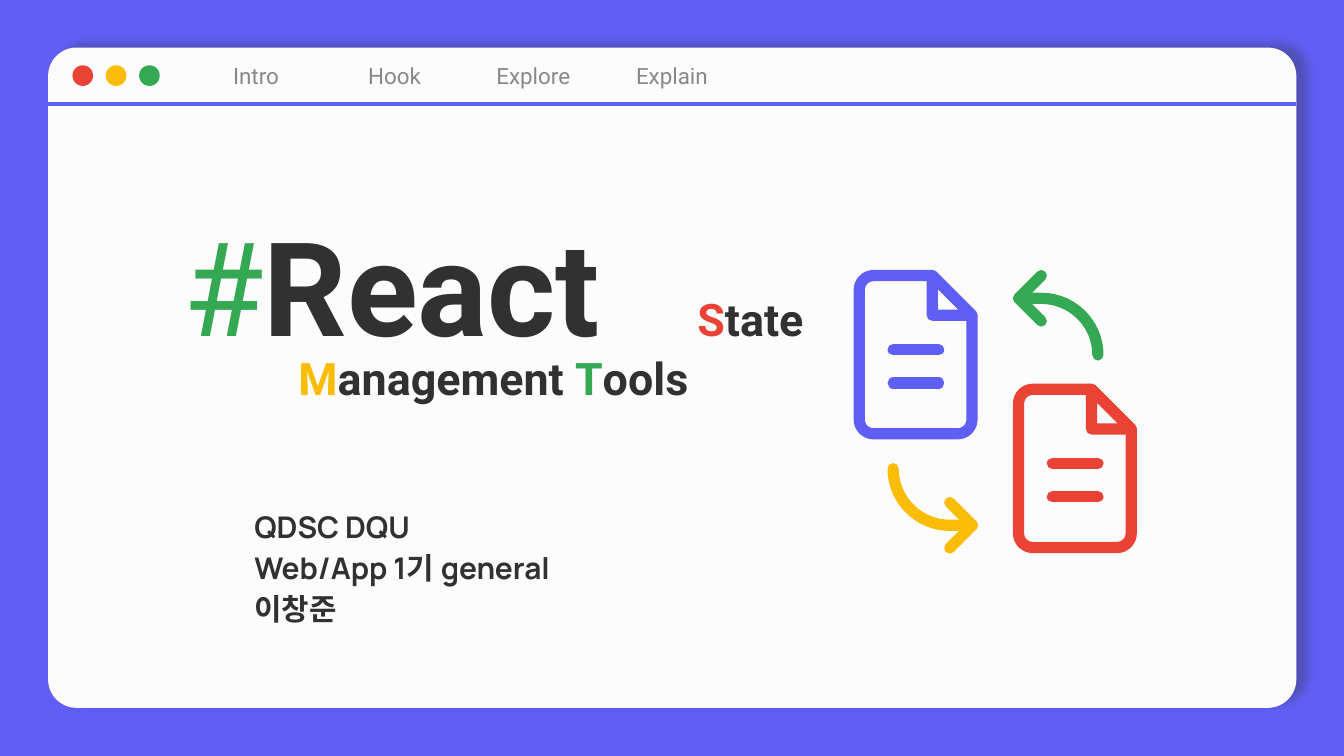
from lxml import etree
from pptx import Presentation
from pptx import util as u
from pptx.dml import color
from pptx.enum import shapes, text
from pptx.oxml import ns

BLUE, RED, GOLD, GREEN = "5F5FF5", "EA4335", "FBBC05", "34A853"
INK, GREY, PAPER = "313131", "888888", "FCFCFC"
KIND = shapes.MSO_SHAPE
MID = text.PP_ALIGN.CENTER


def hue(code):
    """Turn a hex string into a colour."""
    return color.RGBColor.from_string(code)


def put(thing, form):
    """Set every format value in the dict on the object."""
    for key, val in form.items():
        setattr(thing, key, val)


def node(top, tag, **vals):
    """Add an XML child with the given attributes."""
    kid = etree.SubElement(top, ns.qn(tag))
    for key, val in vals.items():
        kid.set(key, str(val))
    return kid


def block(page, kind, box, fill=None):
    """Add a preset shape without line or shadow, box in cm."""
    form = page.shapes.add_shape(kind, *map(u.Cm, box))
    form.shadow.inherit = False
    form.line.fill.background()
    if fill:
        form.fill.solid()
        form.fill.fore_color.rgb = hue(fill)
    else:
        form.fill.background()
    return form


def frame(form, pad, anchor):
    """Set up a text frame with equal insets in cm."""
    body = form.text_frame
    sides = ("left", "top", "right", "bottom")
    put(body, {f"margin_{side}": u.Cm(pad) for side in sides})
    put(body, {"word_wrap": True, "vertical_anchor": anchor})
    return body


def write(para, words, tint, **font):
    """Add a run with its font values."""
    run = para.add_run()
    run.text = words
    put(run.font, font)
    run.font.color.rgb = hue(tint)
    return run


def stroke(form, tint):
    """Give an outline a thick stroke with round ends and joins."""
    form.line.width = u.Pt(6)
    form.line.color.rgb = hue(tint)
    line = form.element.spPr.find(ns.qn("a:ln"))
    line.set("cap", "rnd")
    node(line, "a:round")


def rule(page, x, y, wide):
    """Draw a level line, lengths in cm."""
    return page.shapes.add_connector(
        shapes.MSO_CONNECTOR.STRAIGHT, *map(u.Cm, (x, y, x + wide, y)))


def flat(line):
    """Take the shadow off a connector."""
    node(line.element.spPr, "a:effectLst")


def trace(page, x, y, spots, tint, bends=(), close=False):
    """Draw an outline from x, y in cm, with curves at the given steps."""
    dots = [(u.Cm(x + a), u.Cm(y + b)) for a, b in spots]
    pen = page.shapes.build_freeform(*dots[0])
    pen.add_line_segments(dots[1:], close=close)
    form = pen.convert_to_shape()
    steps = list(form.element.iter(ns.qn("a:lnTo")))
    for n in bends:
        curve = etree.Element(ns.qn("a:cubicBezTo"))
        steps[n].addprevious(curve)
        for step in steps[n:n + 3]:
            curve.append(step[0])
            step.getparent().remove(step)
    form.shadow.inherit = False
    form.fill.background()
    stroke(form, tint)


def sheet(page, box, tint):
    """Draw a document icon with a folded corner."""
    x, y, w, h = box
    fold, r, k = 0.75, 0.27, 0.12
    edge = [(w - fold, 0), (r, 0), (k, 0), (0, k), (0, r),
            (0, h - r), (0, h - k), (k, h), (r, h),
            (w - r, h), (w - k, h), (w, h - k), (w, h - r), (w, fold)]
    flap = [(w - fold, 0), (w - fold, fold), (w, fold)]
    trace(page, x, y, edge, tint, (1, 5, 9), True)
    trace(page, x, y, flap, tint, close=True)
    for drop in (1.4, 2.03):
        line = rule(page, x + 0.64, y + drop, 0.86)
        stroke(line, tint)
        flat(line)


def arrow(page, box, tint, turn=False):
    """Draw a curved arrow to the left, or turned half round."""
    x, y, size = box
    wing, pull = 0.43, 0.59
    head = [(wing, 0), (0, wing), (wing, 2 * wing)]
    tail = [(0, wing), (wing, wing), (wing + pull, wing),
            (size, size - pull), (size, size)]
    for spots, bends in ((head, ()), (tail, (1,))):
        if turn:
            spots = [(size - a, size - b) for a, b in spots]
        trace(page, x, y, spots, tint, bends)


def window(page, box):
    """Draw the browser window with its dots, tabs and rule."""
    x, y, w, h = box
    bar, tab, dot = 1.06, 2.62, 0.39
    pane = block(page, KIND.ROUNDED_RECTANGLE, box, PAPER)
    pane.adjustments[0] = 0.043
    glow = pane.element.spPr.find(ns.qn("a:effectLst"))
    cast = node(glow, "a:outerShdw", blurRad=u.Pt(4.5), dist=u.Pt(6),
                dir=342 * 60000, algn="bl", rotWithShape=0)
    node(node(cast, "a:srgbClr", val=INK), "a:alpha", val=30000)
    for n, name in enumerate(("Intro", "Hook", "Explore", "Explain"), 1):
        cell = block(page, KIND.ROUNDED_RECTANGLE, (x + n * tab, y, tab, bar))
        cell.adjustments[0] = 0.06
        para = frame(cell, 0, text.MSO_ANCHOR.MIDDLE).paragraphs[0]
        para.alignment = MID
        write(para, name, GREY, name="Roboto", size=u.Pt(12))
    for n, tint in enumerate((RED, GOLD, GREEN)):
        spot = (x + 0.46 + n * 0.63, y + (bar - dot) / 2, dot, dot)
        block(page, KIND.OVAL, spot, tint)
    line = rule(page, x, y + bar, w)
    line.line.width = u.Pt(2.25)
    line.line.color.rgb = hue(BLUE)
    flat(line)


def title(page, box):
    """Write the title with coloured initials."""
    form = page.shapes.add_textbox(*map(u.Cm, box))
    para = frame(form, 0.25, text.MSO_ANCHOR.BOTTOM).paragraphs[0]
    put(para, {"alignment": MID, "line_spacing": 0.8})
    big = {"name": "Roboto", "size": u.Pt(70)}
    small = {"name": "Roboto", "size": u.Pt(24), "bold": True}
    write(para, "#", GREEN, **big)
    write(para, "React", INK, bold=True, **big)
    gap = write(para, " ", INK, bold=True, **big)
    gap.font._element.set("spc", "3480")
    for words, tint in (("S", RED), ("tate ", INK), ("M", GOLD),
                        ("anagement ", INK), ("T", GREEN), ("ools", INK)):
        write(para, words, tint, **small)


def credit(page, box):
    """Write the club, the course and the speaker."""
    form = page.shapes.add_textbox(*map(u.Cm, box))
    body = frame(form, 0.25, text.MSO_ANCHOR.TOP)
    for n, words in enumerate(("QDSC DQU", "Web/App 1기 general", "이창준")):
        para = body.add_paragraph() if n else body.paragraphs[0]
        para.line_spacing = 1.15
        write(para, words, INK, name="Manrope", size=u.Pt(16), bold=True)


def main():
    """Build the cover slide."""
    deck = Presentation()
    put(deck, {"slide_width": u.Cm(25.4), "slide_height": u.Cm(14.29)})
    page = deck.slides.add_slide(deck.slide_layouts[6])
    back = page.background.fill
    back.solid()
    back.fore_color.rgb = hue(BLUE)
    window(page, (0.91, 0.9, 23.59, 12.48))
    title(page, (3.18, 3.29, 12.29, 4.6))
    credit(page, (4.56, 9.26, 8.53, 2.57))
    arrow(page, (19.25, 5.21, 1.5), GREEN)
    arrow(page, (16.88, 8.86, 1.5), GOLD, True)
    sheet(page, (19.25, 7.36, 2.13, 2.99), RED)
    sheet(page, (16.24, 5.21, 2.13, 2.99), BLUE)
    deck.save("out.pptx")


if __name__ == "__main__":
    main()
